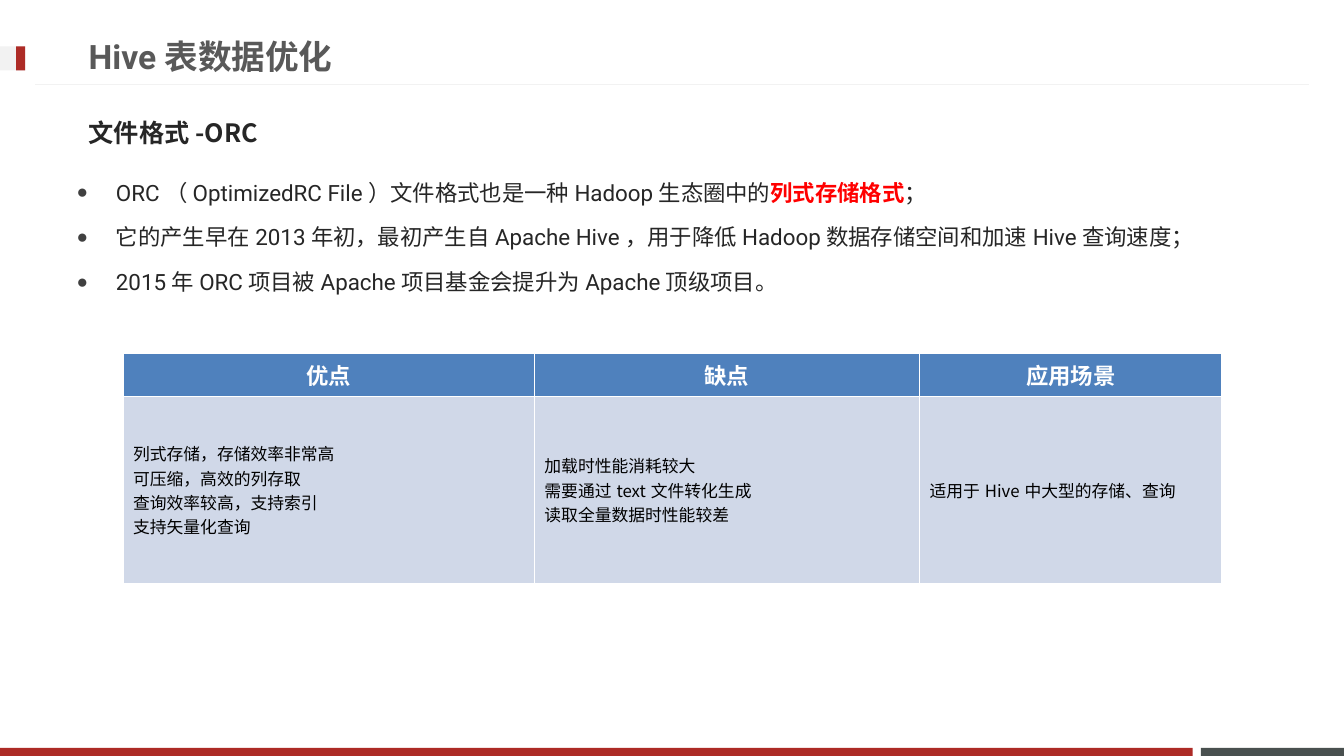
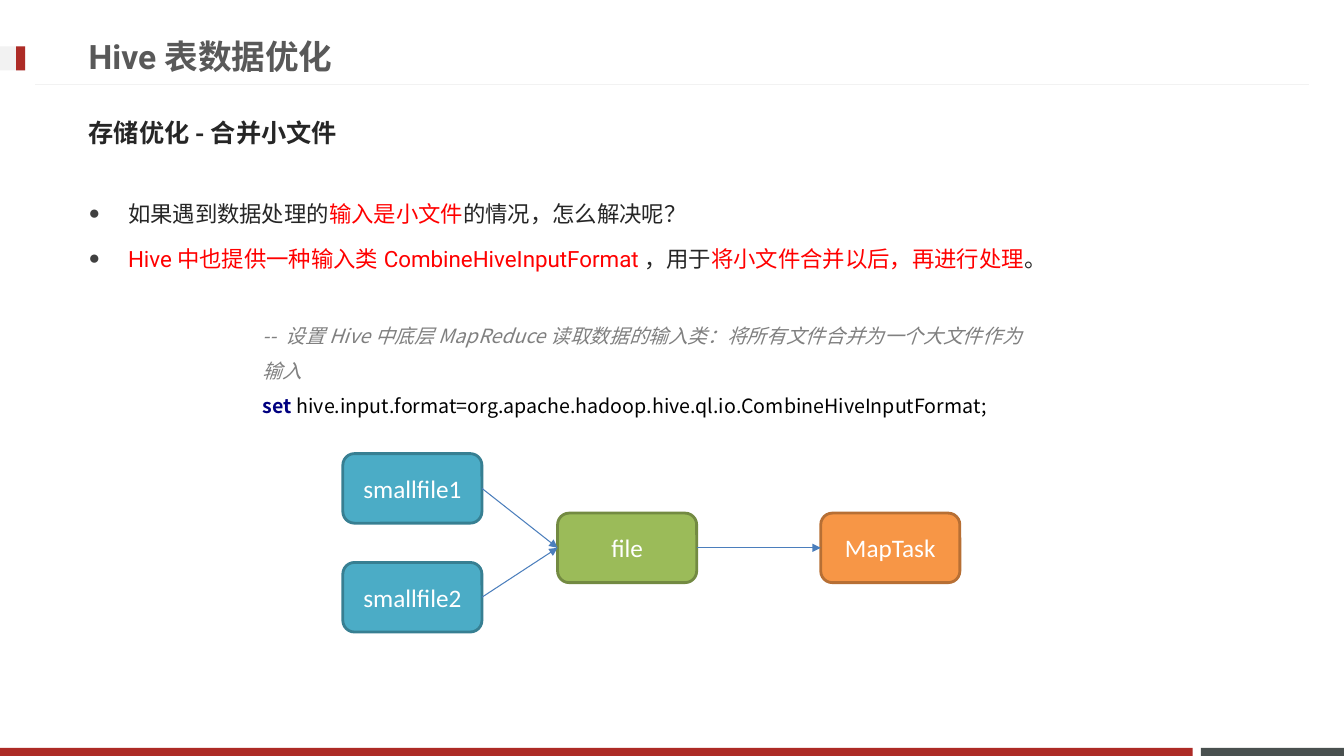
"""Build two slides on optimising Hive table data."""
import pptx
import pptx.dml.color
import pptx.enum.shapes
import pptx.enum.text
import pptx.oxml
import pptx.oxml.ns
import pptx.util
from lxml import etree

SHAPE = pptx.enum.shapes.MSO_SHAPE
ALIGN = pptx.enum.text.PP_ALIGN
MIDDLE = pptx.enum.text.MSO_ANCHOR.MIDDLE
TOP = pptx.enum.text.MSO_ANCHOR.TOP
Inches, Pt, qn = pptx.util.Inches, pptx.util.Pt, pptx.oxml.ns.qn

WIDTH, HEIGHT = 13.33, 7.5
RED, SLATE, PALE, INK, ALERT, WHITE = "AD2B26", "49504F", "F2F2F2", "262626", "FF0000", "FFFFFF"
HAN = "Noto Sans CJK SC"

TITLE = "Hive表数据优化"
ORC = {
    "subtitle": "文件格式-ORC",
    "corner": (0.66, 1.59),
    "points": [
        [("ORC（OptimizedRC File）文件格式也是一种Hadoop生态圈中的",), ("列式存储格式", ALERT, True), ("；",)],
        [("它的产生早在2013年初，最初产生自Apache Hive，用于降低Hadoop数据存储空间和加速Hive查询速度；",)],
        [("2015年ORC项目被Apache项目基金会提升为Apache顶级项目。",)],
    ],
}
MERGE = {
    "subtitle": "存储优化-合并小文件",
    "corner": (0.78, 1.8),
    "points": [
        [("如果遇到数据处理的",), ("输入是小文件", ALERT), ("的情况，怎么解决呢？",)],
        [("Hive中也提供一种输入类CombineHiveInputFormat", ALERT), ("，用于",),
         ("将小文件合并以后，再进行处理", ALERT), ("。",)],
    ],
}
TRADEOFFS = [
    ("优点", 4.08, ["列式存储，存储效率非常高", "可压缩，高效的列存取", "查询效率较高，支持索引", "支持矢量化查询"]),
    ("缺点", 3.82, ["加载时性能消耗较大", "需要通过text文件转化生成", "读取全量数据时性能较差"]),
    ("应用场景", 3, ["适用于Hive中大型的存储、查询"]),
]
CODE = [
    [("-- 设置Hive中底层MapReduce读取数据的输入类：将所有文件合并为一个大文件作为输入", "808080", False, True)],
    [("set ", "000080", True), ("hive.input.format=org.apache.hadoop.hive.ql.io.CombineHiveInputFormat;",)],
]
STEPS = {
    "smallfile1": (3.4, 4.5, "4BACC6", "377F92"),
    "smallfile2": (3.4, 5.58, "4BACC6", "377F92"),
    "file": (5.53, 5.09, "9BBB59", "738A42"),
    "MapTask": (8.14, 5.09, "F79646", "B76F34"),
}
FLOWS = [("smallfile1", "file"), ("smallfile2", "file"), ("file", "MapTask")]


def rgb(code):
    return pptx.dml.color.RGBColor.from_string(code)


def place(shape, *box):
    shape.left, shape.top, shape.width, shape.height = map(Inches, box)


def write(paragraph, parts, size, color, font=HAN, bold=False, align=ALIGN.LEFT, spacing=1, before=0):
    for text, *style in parts:
        run = paragraph.add_run()
        run.text = text
        if style:
            run.font.color.rgb = rgb(style[0])
        if len(style) > 1:
            run.font.bold = style[1]
        if len(style) > 2:
            run.font.italic = style[2]
    paragraph.alignment, paragraph.line_spacing, paragraph.space_before = align, spacing, Pt(before)
    face = paragraph.font
    face.size, face.bold, face.name, face.color.rgb = Pt(size), bold, font, rgb(color)
    defaults = paragraph._p.pPr.find(qn("a:defRPr"))
    etree.SubElement(defaults, qn("a:ea"), typeface=HAN)


def fill_frame(frame, paragraphs, anchor=MIDDLE, marker=None, later=0, **style):
    frame.word_wrap, frame.vertical_anchor = True, anchor
    frame.auto_size = pptx.enum.text.MSO_AUTO_SIZE.NONE
    for i, parts in enumerate(paragraphs):
        paragraph = frame.add_paragraph() if i else frame.paragraphs[0]
        if marker:
            marker(paragraph)
        write(paragraph, parts, before=later if i else 0, **style)


def dot(paragraph):
    props = paragraph._p.get_or_add_pPr()
    props.set("marL", str(Inches(0.39)))
    props.set("indent", str(-Inches(0.39)))
    color = etree.SubElement(props, qn("a:buClr"))
    etree.SubElement(color, qn("a:srgbClr"), val="404040")
    etree.SubElement(props, qn("a:buSzPct"), val="85000")
    etree.SubElement(props, qn("a:buChar"), char="●")


def no_dot(paragraph):
    props = paragraph._p.get_or_add_pPr()
    props.set("marL", "0")
    props.set("indent", "0")
    etree.SubElement(props, qn("a:buNone"))


def add_block(slide, kind, box, fill, outline=None):
    block = slide.shapes.add_shape(kind, *map(Inches, box))
    block.shadow.inherit = False
    block.fill.solid()
    block.fill.fore_color.rgb = rgb(fill)
    if outline:
        block.line.color.rgb, block.line.width = rgb(outline), Pt(2)
    else:
        block.line.fill.background()
    return block


def add_rule(slide, color, start=(0, 0), end=(0, 0)):
    rule = slide.shapes.add_connector(
        pptx.enum.shapes.MSO_CONNECTOR.STRAIGHT, *map(Inches, (*start, *end)))
    rule.line.color.rgb, rule.line.width = rgb(color), Pt(0.75)
    etree.SubElement(rule.element.spPr, qn("a:effectLst"))
    return rule


def dress_layout(layout, slide):
    place(layout.placeholders[0], 0.78, 0.27, 9.59, 0.57)
    place(layout.placeholders[1], 0.78, 1.03, 11.76, 0.57)
    bands = [
        (11.91, HEIGHT - 0.08, WIDTH - 11.91, 0.08, SLATE),
        (0, HEIGHT - 0.08, 11.83, 0.08, RED),
        (0, 0.46, 0.25, 0.24, PALE),
        (0.16, 0.46, 0.09, 0.24, RED),
    ]
    parts = [add_block(slide, SHAPE.RECTANGLE, box, color) for *box, color in bands]
    parts.append(add_rule(slide, PALE, (0.35, 0.84), (WIDTH - 0.35, 0.84)))
    for number, part in enumerate(parts, 100):
        part.element[0][0].set("id", str(number))
        layout.shapes.element.append(part.element)


def fill_topic(slide, topic):
    title, subtitle, points = slide.placeholders
    fill_frame(title.text_frame, [[(TITLE,)]], size=24, color="595959", font="Roboto", bold=True)
    fill_frame(subtitle.text_frame, [[(topic["subtitle"],)]], marker=no_dot,
               size=18, color=INK, font="Noto Sans CJK JP", bold=True)
    place(points, *topic["corner"], 11.76, 4.61)
    fill_frame(points.text_frame, topic["points"], anchor=TOP, marker=dot, later=3.2,
               size=16, color=INK, font="Roboto", spacing=1.5)


def add_tradeoffs(slide):
    total = sum(width for _, width, _ in TRADEOFFS)
    table = slide.shapes.add_table(2, len(TRADEOFFS), *map(Inches, (1.22, 3.51, total, 2.21))).table
    table.rows[0].height, table.rows[1].height = Inches(0.35), Inches(1.86)
    for column, (heading, width, lines) in enumerate(TRADEOFFS):
        table.columns[column].width = Inches(width)
        looks = [
            ([heading], "4F81BD", dict(size=16, color=WHITE, bold=True, align=ALIGN.CENTER)),
            (lines, "D0D8E8", dict(size=12, color="000000")),
        ]
        for row, (texts, fill, style) in enumerate(looks):
            cell = table.cell(row, column)
            cell.fill.solid()
            cell.fill.fore_color.rgb = rgb(fill)
            cell.vertical_anchor = MIDDLE
            for i, text in enumerate(texts):
                paragraph = cell.text_frame.add_paragraph() if i else cell.text_frame.paragraphs[0]
                write(paragraph, [(text,)], **style)


def add_flow(slide):
    boxes = {}
    for label, (left, top, fill, outline) in STEPS.items():
        boxes[label] = add_block(slide, SHAPE.ROUNDED_RECTANGLE, (left, top, 1.38, 0.69), fill, outline)
        fill_frame(boxes[label].text_frame, [[(label,)]],
                   size=18, color=WHITE, font="Calibri", align=ALIGN.CENTER)
    for source, target in FLOWS:
        arrow = add_rule(slide, "4B7EBC")
        arrow.begin_connect(boxes[source], 3)
        arrow.end_connect(boxes[target], 1)
        etree.SubElement(arrow.line._get_or_add_ln(), qn("a:tailEnd"), type="triangle")


def main():
    deck = pptx.Presentation()
    deck.slide_width, deck.slide_height = Inches(WIDTH), Inches(HEIGHT)
    layout = deck.slide_layouts[3]
    orc, merge = [deck.slides.add_slide(layout) for _ in range(2)]
    dress_layout(layout, orc)

    fill_topic(orc, ORC)
    add_tradeoffs(orc)

    fill_topic(merge, MERGE)
    code = add_block(merge, SHAPE.RECTANGLE, (2.51, 3.24, 7.86, 0.76), WHITE)
    fill_frame(code.text_frame, CODE, size=14, color="000000", spacing=1.5)
    add_flow(merge)
    deck.save("out.pptx")


if __name__ == "__main__":
    main()
